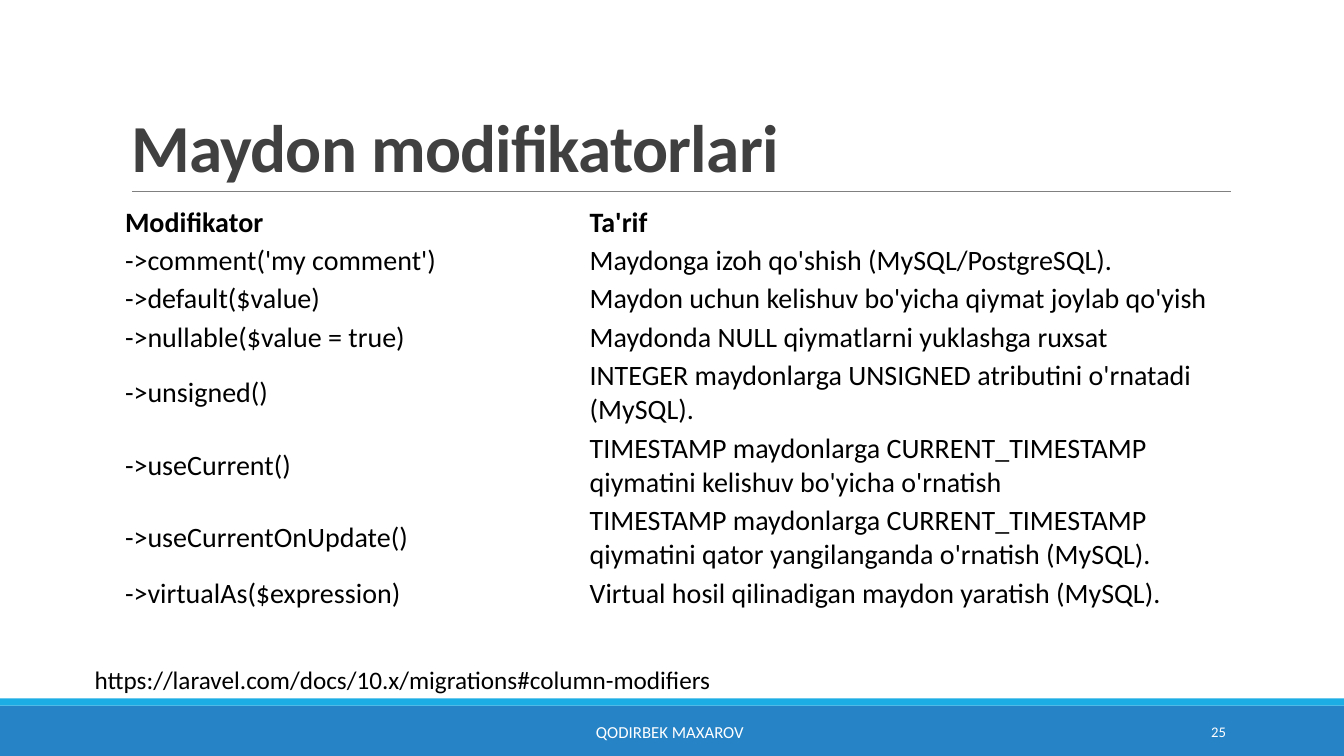
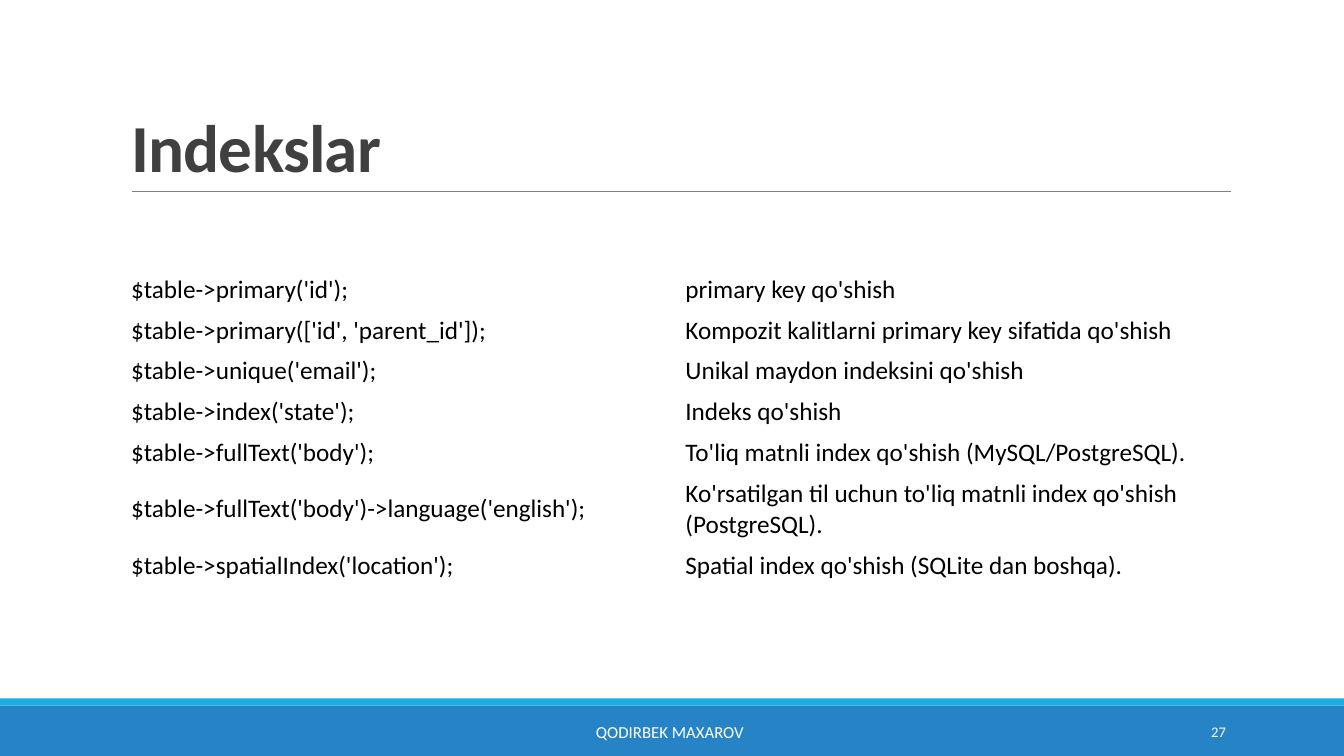
"""Build two slides on table column modifiers and indexes."""
from dataclasses import dataclass

from lxml import etree
from pptx import Presentation
from pptx.dml.color import RGBColor
from pptx.enum.shapes import MSO_CONNECTOR, MSO_SHAPE
from pptx.enum.text import MSO_ANCHOR, MSO_AUTO_SIZE, PP_ALIGN
from pptx.oxml.ns import qn
from pptx.util import Pt

LEFT, CENTER, RIGHT = PP_ALIGN.LEFT, PP_ALIGN.CENTER, PP_ALIGN.RIGHT
TOP, MIDDLE, BOTTOM = MSO_ANCHOR.TOP, MSO_ANCHOR.MIDDLE, MSO_ANCHOR.BOTTOM
NO_FIT = MSO_AUTO_SIZE.NONE
RECT, STRAIGHT = MSO_SHAPE.RECTANGLE, MSO_CONNECTOR.STRAIGHT

FONT = "Calibri"
BLACK, WHITE, GRAY, TITLE_GRAY = "000000", "FFFFFF", "808080", "404040"
BLUE, CYAN = "2683C6", "1CADE4"
SLIDE_W, SLIDE_H = 960, 540
CONTENT_X, CONTENT_W = 86.4, 792
LINE_RATIO = 1.22
AUTHOR = "QODIRBEK MAXAROV "


@dataclass(frozen=True)
class Band:
    top: float
    height: float
    color: str


@dataclass(frozen=True)
class Row:
    code: str
    meaning: str
    lines: int = 1


@dataclass(frozen=True)
class Grid:
    top: float
    widths: tuple[float, float]
    size: float
    margin_x: float
    margin_y: float
    rows: tuple[Row, ...]
    header: bool = False


@dataclass(frozen=True)
class Page:
    title: str
    number: str
    grid: Grid
    link: str = ""


BANDS = (Band(504, 36, BLUE), Band(498.8, 5.2, CYAN))

MODIFIERS = Grid(145.4, (331.9, 460.1), 20, 2.9, 1.44, (
    Row("Modifikator", "Ta'rif"),
    Row("->comment('my comment')", "Maydonga izoh qo'shish (MySQL/PostgreSQL)."),
    Row("->default($value)", "Maydon uchun kelishuv bo'yicha qiymat joylab qo'yish"),
    Row("->nullable($value = true)", "Maydonda NULL qiymatlarni yuklashga ruxsat"),
    Row("->unsigned()",
        "INTEGER maydonlarga UNSIGNED atributini o'rnatadi (MySQL).", 2),
    Row("->useCurrent()",
        "TIMESTAMP maydonlarga CURRENT_TIMESTAMP qiymatini kelishuv bo'yicha o'rnatish", 2),
    Row("->useCurrentOnUpdate()",
        "TIMESTAMP maydonlarga CURRENT_TIMESTAMP qiymatini qator yangilanganda "
        "o'rnatish (MySQL).", 2),
    Row("->virtualAs($expression)", "Virtual hosil qilinadigan maydon yaratish (MySQL)."),
), header=True)

INDEXES = Grid(192.2, (396, 396), 18, 7.2, 3.6, (
    Row("$table->primary('id');", "primary key qo'shish"),
    Row("$table->primary(['id', 'parent_id']);",
        "Kompozit kalitlarni primary key sifatida qo'shish"),
    Row("$table->unique('email');", "Unikal maydon indeksini qo'shish"),
    Row("$table->index('state');", "Indeks qo'shish"),
    Row("$table->fullText('body');", "To'liq matnli index qo'shish (MySQL/PostgreSQL)."),
    Row("$table->fullText('body')->language('english');",
        "Ko'rsatilgan til uchun to'liq matnli index qo'shish (PostgreSQL).", 2),
    Row("$table->spatialIndex('location');", "Spatial index qo'shish (SQLite dan boshqa)."),
))

PAGES = (
    Page("Maydon modifikatorlari", "25", MODIFIERS,
         "https://laravel.com/docs/10.x/migrations#column-modifiers"),
    Page("Indekslar", "27", INDEXES),
)


def rgb(value: str) -> RGBColor:
    return RGBColor.from_string(value)


def style(p, size: float, color: str, bold: bool = False, align=LEFT) -> None:
    p.alignment = align
    p.font.name = FONT
    p.font.size = Pt(size)
    p.font.bold = bold
    p.font.color.rgb = rgb(color)


def add_frame(slide) -> None:
    for band in BANDS:
        sp = slide.shapes.add_shape(RECT, 0, Pt(band.top), Pt(SLIDE_W), Pt(band.height))
        sp.shadow.inherit = False
        sp.fill.solid()
        sp.fill.fore_color.rgb = rgb(band.color)
        sp.line.fill.background()
    rule = slide.shapes.add_connector(STRAIGHT, Pt(94.3), Pt(136.8), Pt(879.1), Pt(136.8))
    rule.line.color.rgb = rgb(GRAY)
    rule.line.width = Pt(0.5)
    etree.SubElement(rule._element.spPr, qn("a:effectLst"))


def set_title(slide, text: str) -> None:
    title = slide.shapes.title
    title.left, title.top = Pt(CONTENT_X), Pt(22.6)
    title.width, title.height = Pt(CONTENT_W), Pt(114.2)
    tf = title.text_frame
    tf.text = text
    tf.auto_size = NO_FIT
    tf.vertical_anchor = BOTTOM
    p = tf.paragraphs[0]
    style(p, 48, TITLE_GRAY, bold=True)
    p.line_spacing = 0.85
    p.runs[0]._r.get_or_add_rPr().set("spc", "-50")


def add_text(slide, text: str, x: float, y: float, w: float, size: float, color: str,
             align=LEFT, anchor=MIDDLE, wrap: bool = True) -> None:
    tf = slide.shapes.add_textbox(Pt(x), Pt(y), Pt(w), Pt(28.8)).text_frame
    tf.text = text
    tf.word_wrap = wrap
    tf.vertical_anchor = anchor
    style(tf.paragraphs[0], size, color, align=align)


def add_grid(slide, grid: Grid) -> None:
    heights = [row.lines * grid.size * LINE_RATIO + 2 * grid.margin_y for row in grid.rows]
    table = slide.shapes.add_table(len(grid.rows), len(grid.widths), Pt(CONTENT_X),
                                   Pt(grid.top), Pt(CONTENT_W), Pt(sum(heights))).table
    table.first_row = table.horz_banding = False
    for column, width in zip(table.columns, grid.widths):
        column.width = Pt(width)
    for i, row in enumerate(grid.rows):
        table.rows[i].height = Pt(heights[i])
        for cell, text in zip(table.rows[i].cells, (row.code, row.meaning)):
            cell.text = text
            cell.fill.background()
            cell.vertical_anchor = MIDDLE
            cell.margin_left = cell.margin_right = Pt(grid.margin_x)
            cell.margin_top = cell.margin_bottom = Pt(grid.margin_y)
            style(cell.text_frame.paragraphs[0], grid.size, BLACK,
                  bold=grid.header and i == 0)


def add_page(prs, page: Page) -> None:
    slide = prs.slides.add_slide(prs.slide_layouts[5])
    add_frame(slide)
    set_title(slide, page.title)
    add_grid(slide, page.grid)
    add_text(slide, AUTHOR, 290.2, 508.3, 379.4, 12, WHITE, CENTER)
    add_text(slide, page.number, 779.8, 508.3, 103, 10.5, WHITE, RIGHT)
    if page.link:
        add_text(slide, page.link, 60.5, 470.9, 460.1, 18, BLACK, anchor=TOP, wrap=False)


def main() -> None:
    prs = Presentation()
    prs.slide_width, prs.slide_height = Pt(SLIDE_W), Pt(SLIDE_H)
    for page in PAGES:
        add_page(prs, page)
    prs.save("out.pptx")


if __name__ == "__main__":
    main()
